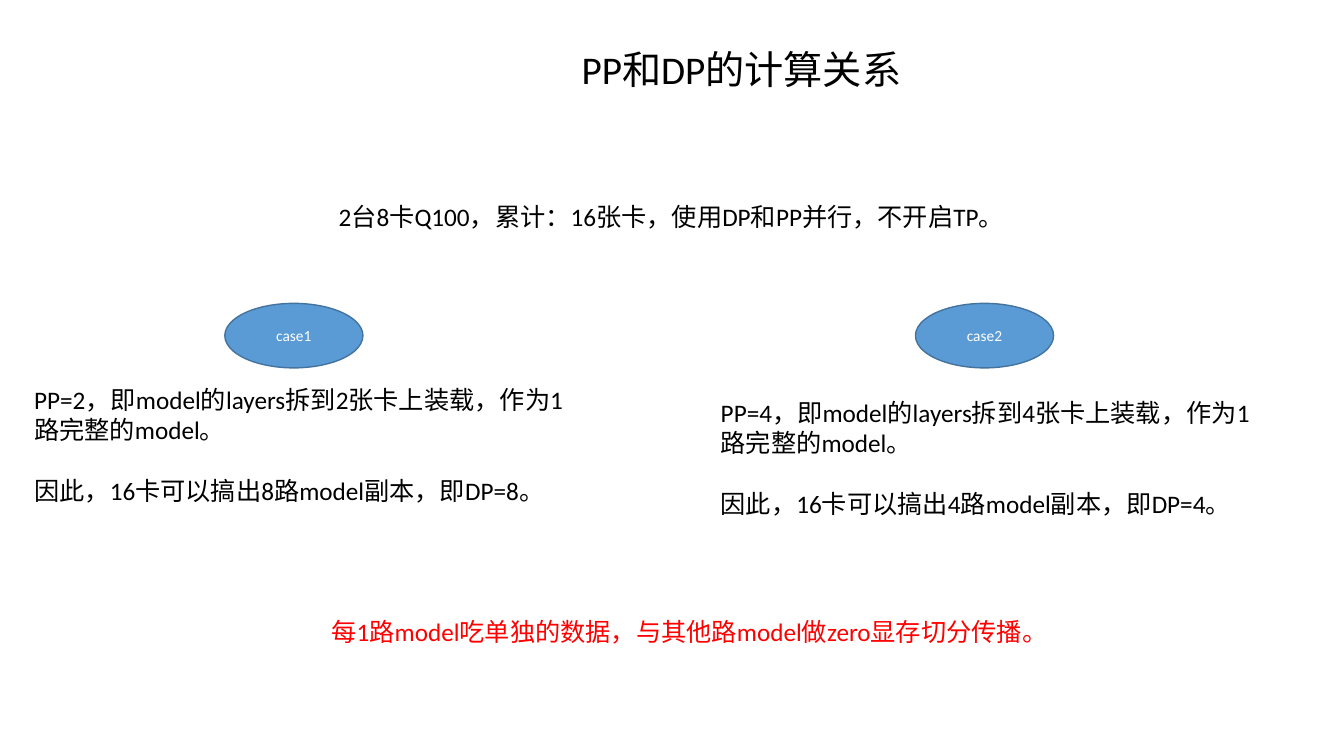
from pptx import Presentation
from pptx.dml.color import RGBColor as RGB
from pptx.enum.shapes import MSO_SHAPE as SHAPE
from pptx.enum.text import MSO_ANCHOR as ANCHOR, PP_ALIGN as ALIGN
from pptx.util import Pt

PX = 9144
COLORS = {"text": "000000", "accent": "FF0000", "fill": "5B9BD5",
          "line": "43739E", "label": "FFFFFF"}


def set_font(p, size, color):
    p.font.name = "Calibri"
    p.font.size = Pt(size)
    p.font.color.rgb = RGB.from_string(COLORS[color])


def add_text(s, box, lines, size=18, color="text"):
    tf = s.shapes.add_textbox(*[v * PX for v in box]).text_frame
    tf.word_wrap = True
    for i, line in enumerate(lines):
        p = tf.add_paragraph() if i else tf.paragraphs[0]
        p.text = line
        if i:
            p.space_before = Pt(22)
        set_font(p, size, color)


prs = Presentation()
prs.slide_width, prs.slide_height = 1333 * PX, 750 * PX
s = prs.slides.add_slide(prs.slide_layouts[6])

add_text(s, (567, 40, 341, 57), ["PP和DP的计算关系"], size=28)
add_text(s, (326, 195, 684, 40),
         ["2台8卡Q100，累计：16张卡，使用DP和PP并行，不开启TP。"])

cases = [("case1", 223, 24, 376, 2), ("case2", 908, 705, 389, 4)]
for name, oval_x, text_x, text_y, pp in cases:
    sp = s.shapes.add_shape(SHAPE.OVAL, oval_x * PX, 301 * PX, 137 * PX, 64 * PX)
    sp.shadow.inherit = False
    sp.fill.solid()
    sp.fill.fore_color.rgb = RGB.from_string(COLORS["fill"])
    sp.line.color.rgb = RGB.from_string(COLORS["line"])
    sp.line.width = Pt(1)
    tf = sp.text_frame
    tf.vertical_anchor = ANCHOR.MIDDLE
    p = tf.paragraphs[0]
    p.text = name
    p.alignment = ALIGN.CENTER
    set_font(p, 11, "label")

    dp = 16 // pp
    add_text(s, (text_x, text_y, 549, 162), [
        f"PP={pp}，即model的layers拆到{pp}张卡上装载，作为1路完整的model。",
        f"因此，16卡可以搞出{dp}路model副本，即DP={dp}。",
    ])

add_text(s, (319, 607, 737, 40),
         ["每1路model吃单独的数据，与其他路model做zero显存切分传播。"],
         color="accent")

prs.save("out.pptx")
